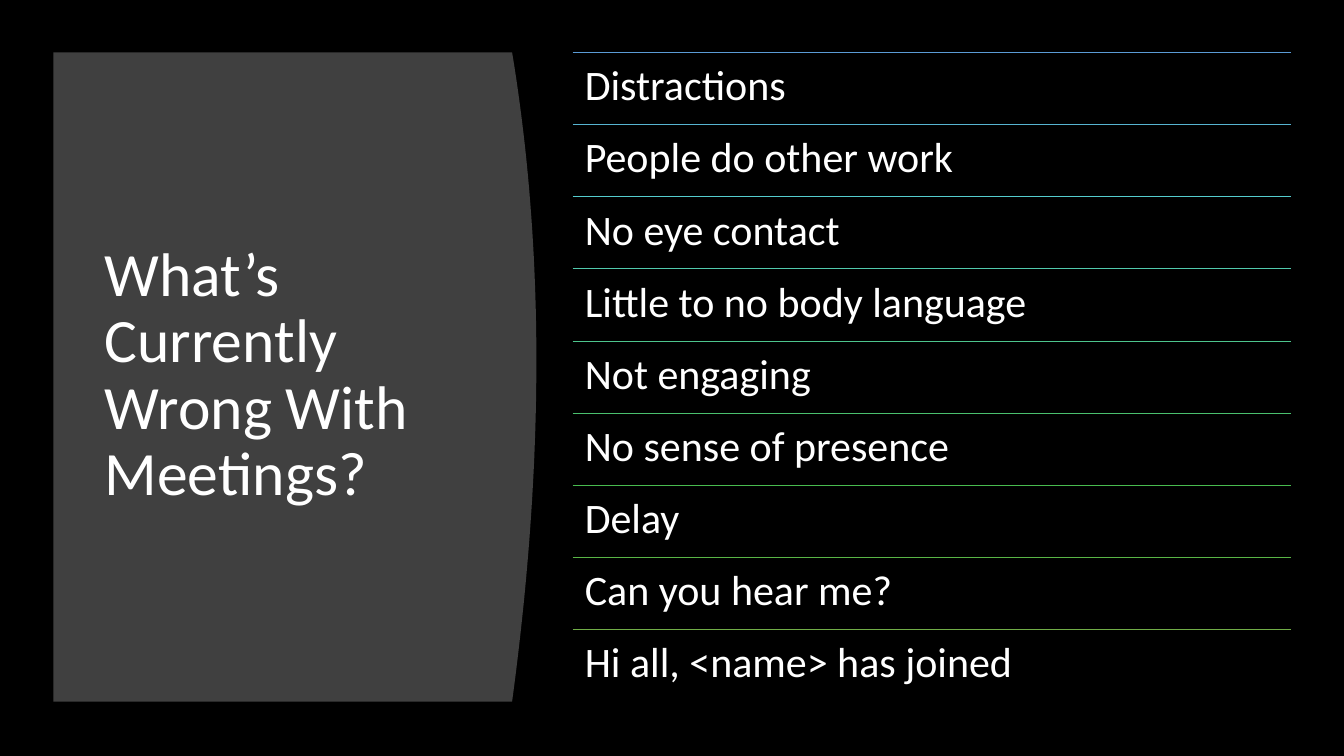
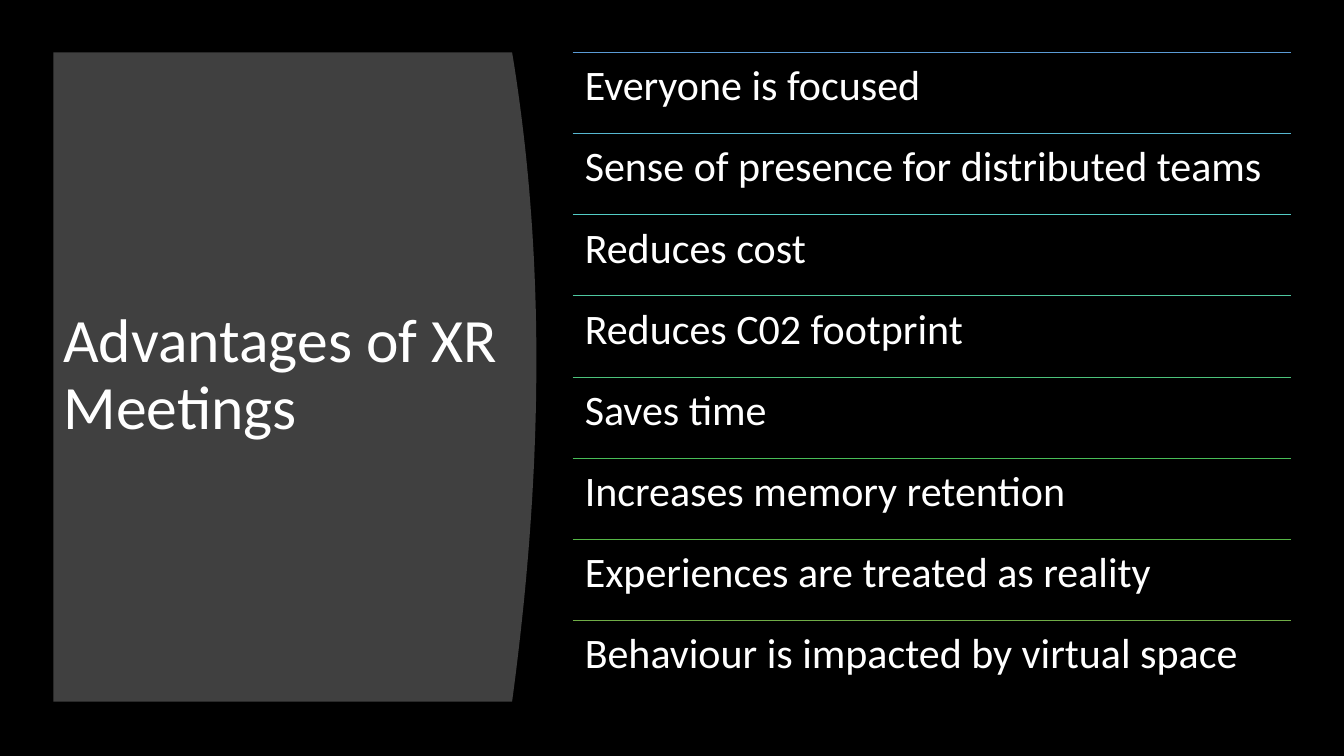
from colorsys import hls_to_rgb, rgb_to_hls

from lxml.etree import SubElement
from pptx import Presentation
from pptx.dml.color import RGBColor
from pptx.enum.shapes import MSO_CONNECTOR as CONNECTOR
from pptx.enum.text import MSO_ANCHOR as ANCHOR
from pptx.oxml.ns import qn
from pptx.util import Inches, Pt

COLOURS = {
    "background": "000000",
    "panel": "404040",
    "text": "FFFFFF",
    "first_rule": "5B9BD5",
    "last_rule": "70AD47",
}
FONT = "Calibri"

# Boxes are left, top, width, height in inches.
PANEL_BOX = (0.53, 0.52, 4.79, 6.44)
LIST_BOX = (5.68, 0.52, 7.12, 6.44)
PANEL_BULGE = 0.24
PANEL_STEPS = 48

SLIDES = [
    {
        "title": "What’s Currently Wrong With Meetings?",
        "title_box": (0.94, 1.11, 3.74, 5.24),
        "items": [
            "Distractions",
            "People do other work",
            "No eye contact",
            "Little to no body language",
            "Not engaging",
            "No sense of presence",
            "Delay",
            "Can you hear me?",
            "Hi all, <name> has joined",
        ],
    },
    {
        "title": "Advantages of XR Meetings",
        "title_box": (0.53, 1.11, 4.61, 5.24),
        "items": [
            "Everyone is focused",
            "Sense of presence for distributed teams",
            "Reduces cost",
            "Reduces C02 footprint",
            "Saves time",
            "Increases memory retention",
            "Experiences are treated as reality",
            "Behaviour is impacted by virtual space",
        ],
    },
]


def colour(name):
    return RGBColor.from_string(COLOURS[name])


def rule_colour(share):
    """Blend the first and last rule colours by hue, lightness and saturation."""
    first, last = (
        rgb_to_hls(*(channel / 255 for channel in colour(name)))
        for name in ("first_rule", "last_rule")
    )
    blend = (start + (end - start) * share for start, end in zip(first, last))
    return RGBColor(*(round(channel * 255) for channel in hls_to_rgb(*blend)))


def add_text(slide, box, text, size, anchor=ANCHOR.TOP, inset=None):
    shape = slide.shapes.add_textbox(*map(Inches, box))
    frame = shape.text_frame
    frame.word_wrap = True
    frame.vertical_anchor = anchor
    if inset is not None:
        frame.margin_left = frame.margin_right = Inches(inset)
        frame.margin_top = frame.margin_bottom = Inches(inset)
    paragraph = frame.paragraphs[0]
    paragraph.line_spacing = 0.9
    run = paragraph.add_run()
    run.text = text
    run.font.name = FONT
    run.font.size = Pt(size)
    run.font.color.rgb = colour("text")


def add_panel(slide, box):
    """Draw the title panel, whose right side curves outwards."""
    left, top, width, height = box
    edge = left + width - PANEL_BULGE
    curve = []
    for step in range(PANEL_STEPS + 1):
        share = step / PANEL_STEPS
        # The curve is slightly fuller in its upper half.
        bulge = 4 * share * (1 - share) * (1.1 - 0.2 * share)
        curve.append((Inches(edge + PANEL_BULGE * bulge),
                      Inches(top + height * share)))
    builder = slide.shapes.build_freeform(Inches(left), Inches(top))
    builder.add_line_segments(curve + [(Inches(left), Inches(top + height))])
    panel = builder.convert_to_shape()
    panel.shadow.inherit = False
    panel.fill.solid()
    panel.fill.fore_color.rgb = colour("panel")
    panel.line.fill.background()


def add_rule(slide, left, top, width, rgb):
    rule = slide.shapes.add_connector(
        CONNECTOR.STRAIGHT,
        Inches(left), Inches(top), Inches(left + width), Inches(top))
    rule.line.color.rgb = rgb
    rule.line.width = Pt(0.5)
    SubElement(rule._element.spPr, qn("a:effectLst"))


def add_ruled_list(slide, box, items):
    left, top, width, height = box
    row_height = height / len(items)
    for index, item in enumerate(items):
        row_top = top + index * row_height
        add_rule(slide, left, row_top, width,
                 rule_colour(index / (len(items) - 1)))
        add_text(slide, (left, row_top, width, row_height), item, 30,
                 inset=0.12)


def add_list_slide(presentation, title, title_box, items):
    slide = presentation.slides.add_slide(presentation.slide_layouts[6])
    slide.background.fill.solid()
    slide.background.fill.fore_color.rgb = colour("background")
    add_panel(slide, PANEL_BOX)
    add_text(slide, title_box, title, 44, ANCHOR.MIDDLE)
    add_ruled_list(slide, LIST_BOX, items)


def main():
    presentation = Presentation()
    presentation.slide_width = Inches(13.33)
    presentation.slide_height = Inches(7.5)
    for content in SLIDES:
        add_list_slide(presentation, **content)
    presentation.save("out.pptx")


if __name__ == "__main__":
    main()
